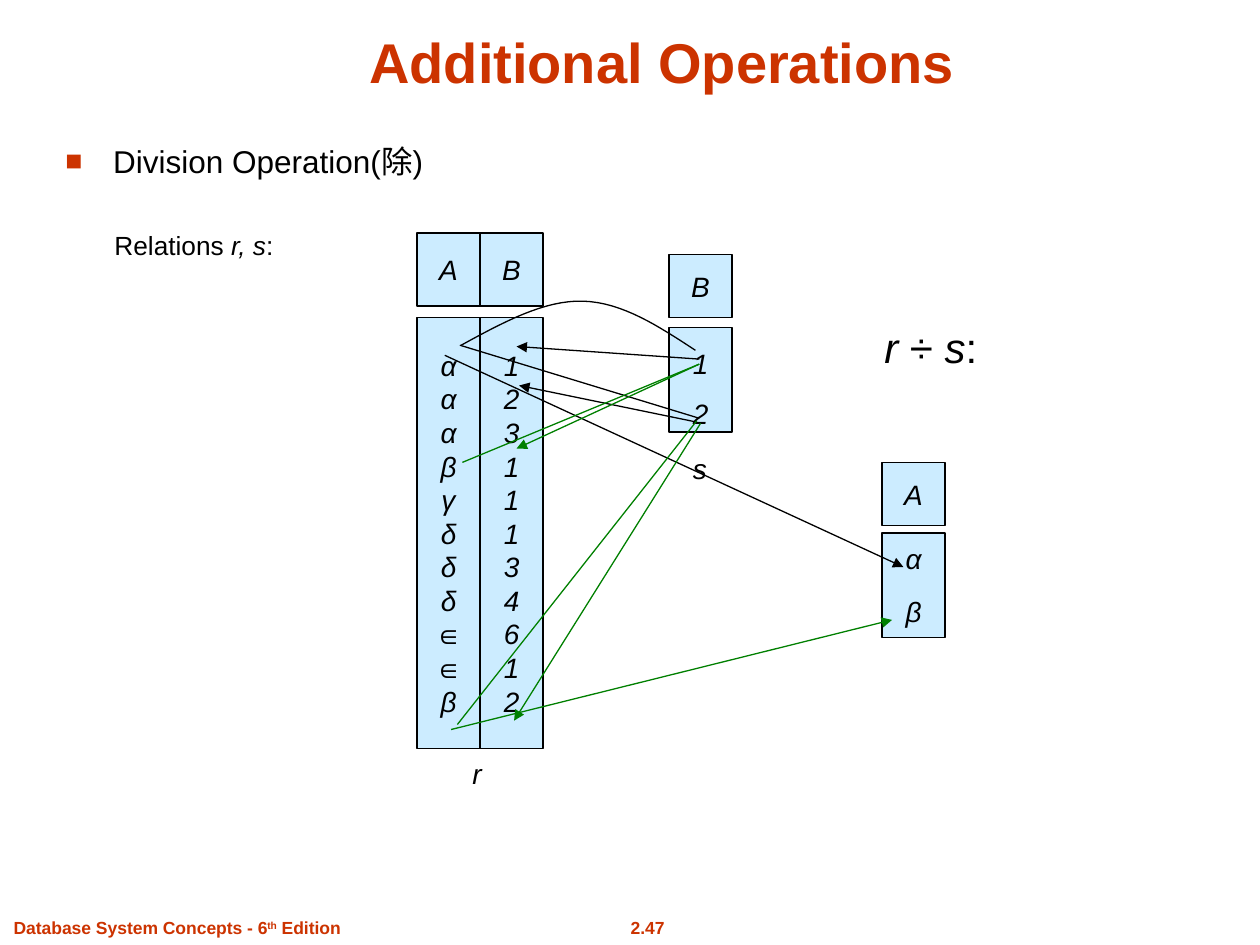
from lxml import etree
from pptx import Presentation
from pptx.dml.color import RGBColor
from pptx.enum.shapes import MSO_CONNECTOR as CONNECTOR, MSO_SHAPE as SHAPE
from pptx.enum.text import MSO_ANCHOR as ANCHOR, PP_ALIGN as ALIGN
from pptx.oxml.ns import qn
from pptx.util import Inches, Pt

COLORS = {"accent": "CC3300", "ink": "000000", "cell": "CCECFF", "match": "008000"}
FONT = "Arial"
CELL = 0.5


def rgb(name):
    return RGBColor.from_string(COLORS[name])


def add_bullet(paragraph, char, indent):
    props = paragraph._p.get_or_add_pPr()
    props.set("marL", str(Inches(indent)))
    props.set("indent", str(-Inches(indent)))
    color = etree.SubElement(props, qn("a:buClr"))
    etree.SubElement(color, qn("a:srgbClr"), val=COLORS["accent"])
    etree.SubElement(props, qn("a:buSzPct"), val="90000")
    etree.SubElement(props, qn("a:buFont"), typeface=FONT)
    etree.SubElement(props, qn("a:buChar"), char=char)


def write(frame, lines, size=16, color="ink", bold=False, italic=False,
          align=ALIGN.LEFT, anchor=ANCHOR.TOP, wrap=False, spacing=None, bullet=None):
    frame.word_wrap = wrap
    frame.vertical_anchor = anchor
    for index, line in enumerate(lines):
        paragraph = frame.add_paragraph() if index else frame.paragraphs[0]
        paragraph.alignment = align
        if spacing:
            paragraph.line_spacing = spacing
        if bullet:
            add_bullet(paragraph, bullet, 0.38)
        for part in [line] if isinstance(line, str) else line:
            words, style = (part, "") if isinstance(part, str) else part
            run = paragraph.add_run()
            run.text = words
            font = run.font
            font.name, font.size, font.bold = FONT, Pt(size), bold
            font.italic = italic or style == "italic"
            font.color.rgb = rgb(color)
            if style == "super":
                run._r.get_or_add_rPr().set("baseline", "30000")


def add_label(slide, at, lines, **style):
    box = slide.shapes.add_textbox(*map(Inches, at))
    write(box.text_frame, lines, **style)


def add_cell(slide, left, top, height, values=(), **style):
    cell = slide.shapes.add_shape(
        SHAPE.RECTANGLE, Inches(left), Inches(top), Inches(CELL), Inches(height))
    cell.shadow.inherit = False
    cell.fill.solid()
    cell.fill.fore_color.rgb = rgb("cell")
    cell.line.color.rgb = rgb("ink")
    cell.line.width = Pt(0.75)
    write(cell.text_frame, values, italic=True,
          align=ALIGN.CENTER, anchor=ANCHOR.MIDDLE, **style)


def add_link(slide, start, end, color="ink", arrow=True):
    link = slide.shapes.add_connector(CONNECTOR.STRAIGHT, *map(Inches, start + end))
    link.line.color.rgb = rgb(color)
    link.line.width = Pt(0.75)
    if arrow:
        etree.SubElement(link.line._get_or_add_ln(), qn("a:tailEnd"), type="triangle")
    etree.SubElement(link._element.spPr, qn("a:effectLst"))


def bezier(points, steps=16):
    for step in range(1, steps + 1):
        t = step / steps
        weights = ((1 - t) ** 3, 3 * t * (1 - t) ** 2, 3 * t * t * (1 - t), t ** 3)
        yield tuple(Inches(sum(w * p[axis] for w, p in zip(weights, points)))
                    for axis in (0, 1))


def add_curve(slide, points):
    builder = slide.shapes.build_freeform(*map(Inches, points[0]))
    for first in range(0, len(points) - 1, 3):
        builder.add_line_segments(bezier(points[first:first + 4]), close=False)
    curve = builder.convert_to_shape()
    curve.shadow.inherit = False
    curve.fill.background()
    curve.line.color.rgb = rgb("ink")
    curve.line.width = Pt(0.75)


def add_relations(slide):
    relation_r = {"A": "αααβγδδδ∈∈β", "B": "12311134612"}
    for column, (name, values) in enumerate(relation_r.items()):
        left = 3.31 + column * CELL
        add_cell(slide, left, 1.85, 0.58, [name])
        add_cell(slide, left, 2.52, 3.42, values)
    add_cell(slide, 5.31, 2.02, CELL, ["B"])
    add_cell(slide, 5.31, 2.6, 0.83, "12", spacing=1.5)
    add_cell(slide, 7, 3.67, CELL, ["A"])
    add_cell(slide, 7, 4.23, 0.83)
    caption = dict(italic=True, align=ALIGN.CENTER, anchor=ANCHOR.MIDDLE)
    add_label(slide, (3.65, 5.95, 0.27, 0.37), ["r"], **caption)
    add_label(slide, (5.4, 3.53, 0.31, 0.37), ["s"], **caption)


def add_matches(slide):
    add_curve(slide, [(3.66, 2.74), (3.99, 2.56), (4.32, 2.38), (4.63, 2.39),
                      (4.94, 2.4), (5.23, 2.59), (5.52, 2.78)])
    for start, end, color, arrow in [
        ((3.65, 2.74), (5.55, 3.32), "ink", False),
        ((5.55, 2.85), (4.1, 2.75), "ink", True),
        ((5.53, 3.35), (4.12, 3.06), "ink", True),
        ((3.53, 2.82), (7.17, 4.5), "ink", True),
        ((3.67, 3.67), (5.55, 2.89), "match", False),
        ((5.55, 2.89), (4.1, 3.56), "match", True),
        ((3.63, 5.75), (5.53, 3.34), "match", False),
        ((5.56, 3.36), (4.08, 5.72), "match", True),
        ((3.58, 5.79), (7.08, 4.92), "match", True),
    ]:
        add_link(slide, start, end, color, arrow)


def main():
    deck = Presentation()
    deck.slide_width, deck.slide_height = Inches(10), Inches(7.5)
    slide = deck.slides.add_slide(deck.slide_layouts[6])

    footer = dict(size=10, color="accent", bold=True, wrap=True)
    add_label(slide, (4.65, 7.23, 0.98, 0.27), ["2.47"], align=ALIGN.CENTER, **footer)
    add_label(slide, (0.01, 7.23, 3.2, 0.27),
              [["Database System Concepts - 6", ("th", "super"), " Edition"]], **footer)
    add_label(slide, (0.84, 0.13, 8.83, 0.67), ["Additional Operations"], size=32,
              color="accent", bold=True, align=ALIGN.CENTER, anchor=ANCHOR.BOTTOM, wrap=True)
    add_label(slide, (0.42, 1.08, 9.25, 0.61), ["Division Operation(除)"],
              size=18, bullet="■", wrap=True)
    add_label(slide, (0.81, 1.77, 7.69, 0.36),
              [["Relations ", ("r, s", "italic"), ":"]], size=15, wrap=True)
    add_label(slide, (6.92, 2.5, 1.19, 0.5),
              [[("r ", "italic"), "÷ ", ("s", "italic"), ":"]], size=24, wrap=True)

    add_relations(slide)
    add_matches(slide)
    for top, value in ((4.25, "α"), (4.67, "β")):
        add_label(slide, (7.09, top, 0.33, 0.37), [value], italic=True)
    deck.save("out.pptx")


if __name__ == "__main__":
    main()
